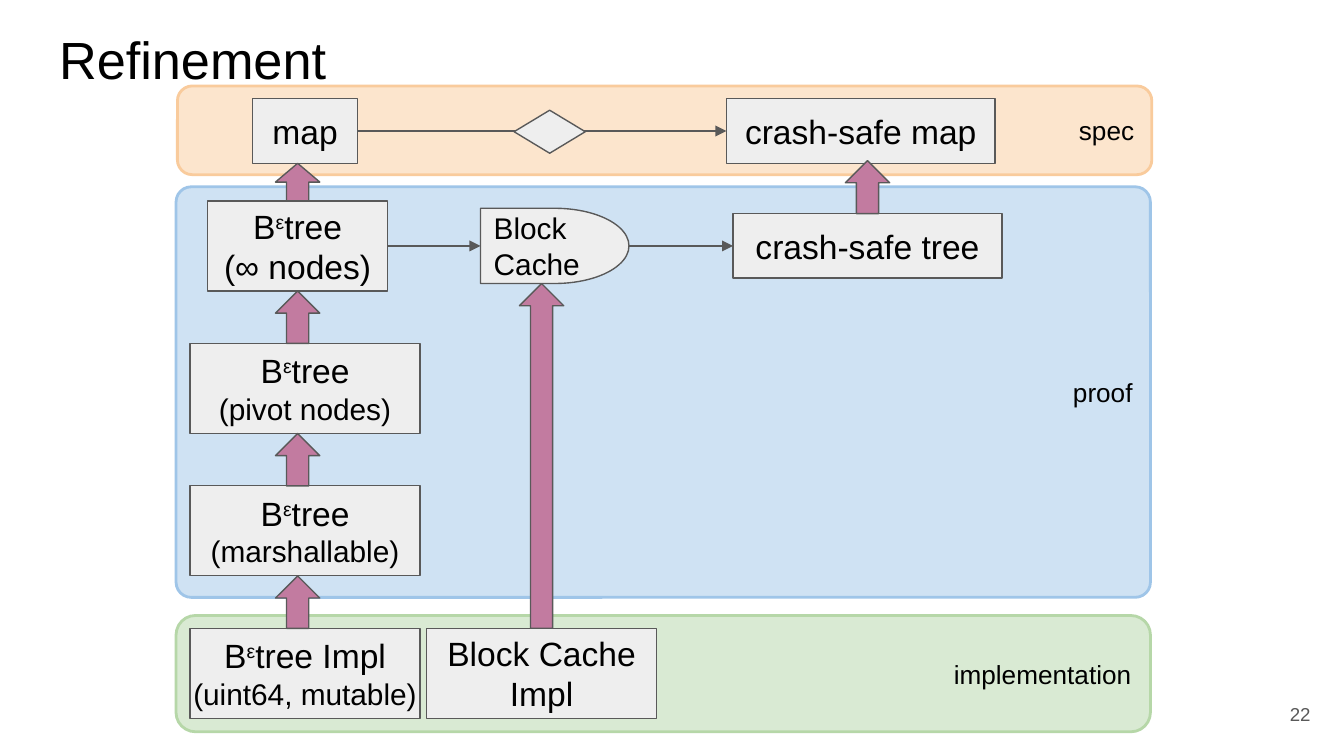
from lxml.etree import SubElement
from pptx import Presentation
from pptx.dml.color import RGBColor
from pptx.enum.shapes import MSO_CONNECTOR, MSO_SHAPE
from pptx.enum.text import MSO_ANCHOR, MSO_AUTO_SIZE, PP_ALIGN
from pptx.oxml.ns import qn
from pptx.util import Emu, Pt

PX = 4572
FONT = "Arial"
COLORS = {
    "text": "000000",
    "muted": "595959",
    "node": "EEEEEE",
    "arrow": "C27BA0",
    "spec": "FCE5CD",
    "spec_line": "F9CB9C",
    "proof": "CFE2F3",
    "proof_line": "9FC5E8",
    "implementation": "D9EAD3",
    "implementation_line": "B6D7A8",
}
SPEC_BOX = (264, 128, 1450, 132)
PROOF_BOX = (262, 278, 1450, 611)
IMPLEMENTATION_BOX = (262, 916, 1450, 173)
ARROW_WIDTH = 66
TREE_SIZE = (342, 134)
SAFE_SIZE = (400, 96)


def px(value):
    return Emu(value * PX)


def color(name):
    return RGBColor.from_string(COLORS[name])


def write(shape, lines, align, anchor=MSO_ANCHOR.MIDDLE, side_inset=20, ink="text"):
    frame = shape.text_frame
    frame.word_wrap = True
    frame.auto_size = MSO_AUTO_SIZE.NONE
    frame.vertical_anchor = anchor
    frame.margin_left = frame.margin_right = px(side_inset)
    frame.margin_top = frame.margin_bottom = px(20)
    for index, (text, size) in enumerate(lines):
        paragraph = frame.add_paragraph() if index else frame.paragraphs[0]
        paragraph.alignment = align
        for row, line in enumerate(text.split("\n")):
            if row:
                paragraph.add_line_break()
            for part, piece in enumerate(line.split("^")):
                run = paragraph.add_run()
                run.text = piece
                run.font.name = FONT
                run.font.size = Pt(size)
                run.font.color.rgb = color(ink)
                if part % 2:
                    run.font._element.set("baseline", "30000")


def add_shape(slide, kind, box, fill, line="muted", weight=0.75):
    shape = slide.shapes.add_shape(kind, *map(px, box))
    shape.shadow.inherit = False
    shape.fill.solid()
    shape.fill.fore_color.rgb = color(fill)
    shape.line.color.rgb = color(line)
    shape.line.width = Pt(weight)
    return shape


def add_band(slide, box, name, rounding):
    band = add_shape(slide, MSO_SHAPE.ROUNDED_RECTANGLE, box, name, f"{name}_line", 1.5)
    band.adjustments[0] = rounding
    write(band, [(name, 14)], PP_ALIGN.RIGHT)


def add_node(slide, box, offset, size, lines, kind=MSO_SHAPE.RECTANGLE,
             align=PP_ALIGN.CENTER, side_inset=20):
    place = (box[0] + offset[0], box[1] + offset[1], *size)
    node = add_shape(slide, kind, place, "node")
    write(node, lines, align, side_inset=side_inset)
    return node


def add_flow(slide, source, target):
    connector = slide.shapes.add_connector(MSO_CONNECTOR.STRAIGHT, 0, 0, 0, 0)
    connector.begin_connect(source, 3)
    connector.end_connect(target, 1)
    connector.line.color.rgb = color("muted")
    connector.line.width = Pt(0.75)
    SubElement(connector.line._get_or_add_ln(), qn("a:tailEnd"), type="triangle")
    SubElement(connector._element.spPr, qn("a:effectLst"))


def add_refinement(slide, lower, upper, left, overlap=0):
    top = (upper.top + upper.height) // PX - overlap
    box = (left, top, ARROW_WIDTH, lower.top // PX - top)
    add_shape(slide, MSO_SHAPE.UP_ARROW, box, "arrow")


def add_spec(slide, box):
    add_band(slide, box, "spec", 0.167)
    plain_map = add_node(slide, box, (112, 19), (156, 96), [("map", 18)])
    safe_map = add_node(slide, box, (817, 19), SAFE_SIZE, [("crash-safe map", 18)])
    add_flow(slide, plain_map, safe_map)
    diamond = (box[0] + 501, box[1] + 36, 106, 64)
    add_shape(slide, MSO_SHAPE.FLOWCHART_DECISION, diamond, "node")
    return plain_map, safe_map


def add_proof(slide, box):
    add_band(slide, box, "proof", 0.037)
    infinite = add_node(slide, box, (47, 21), (268, 134),
                        [("B^ε^tree", 18), ("(∞ nodes)", 18)])
    cache = add_node(slide, box, (453, 32), (221, 112), [("Block Cache", 16)],
                     MSO_SHAPE.FLOWCHART_DELAY, PP_ALIGN.LEFT)
    safe_tree = add_node(slide, box, (829, 40), SAFE_SIZE, [("crash-safe tree", 18)])
    add_flow(slide, infinite, cache)
    add_flow(slide, cache, safe_tree)
    trees = [infinite]
    for index, (detail, inset) in enumerate((("(pivot nodes)", 0), ("(marshallable)", 20))):
        trees.append(add_node(slide, box, (21, 233 + 212 * index), TREE_SIZE,
                              [("B^ε^tree", 18), (detail, 16)], side_inset=inset))
    return trees, cache, safe_tree


def add_implementation(slide, box):
    add_band(slide, box, "implementation", 0.167)
    tree = add_node(slide, box, (21, 19), TREE_SIZE,
                    [("B^ε^tree Impl", 18), ("(uint64, mutable)", 16)], side_inset=0)
    cache = add_node(slide, box, (373, 19), TREE_SIZE, [("Block Cache\nImpl", 18)])
    return tree, cache


def add_title(slide, box):
    title = slide.shapes.title
    title.left, title.top, title.width, title.height = map(px, box)
    write(title, [("Refinement", 28)], PP_ALIGN.LEFT, MSO_ANCHOR.TOP)


def add_page_number(slide, box):
    number = slide.shapes.add_textbox(*map(px, box))
    write(number, [("22", 10)], PP_ALIGN.RIGHT, ink="muted")


def main():
    presentation = Presentation()
    presentation.slide_width = px(2000)
    presentation.slide_height = px(1125)
    slide = presentation.slides.add_slide(presentation.slide_layouts[5])

    add_title(slide, (68, 20, 1864, 126))
    trees, cache, safe_tree = add_proof(slide, PROOF_BOX)
    tree_code, cache_code = add_implementation(slide, IMPLEMENTATION_BOX)
    plain_map, safe_map = add_spec(slide, SPEC_BOX)

    chain = [plain_map, *trees, tree_code]
    for upper, lower in zip(chain, chain[1:]):
        add_refinement(slide, lower, upper, 410)
    add_refinement(slide, cache_code, cache, 773)
    add_refinement(slide, safe_tree, safe_map, 1258, overlap=4)

    add_page_number(slide, (1850, 1020, 120, 86))
    presentation.save("out.pptx")


if __name__ == "__main__":
    main()
